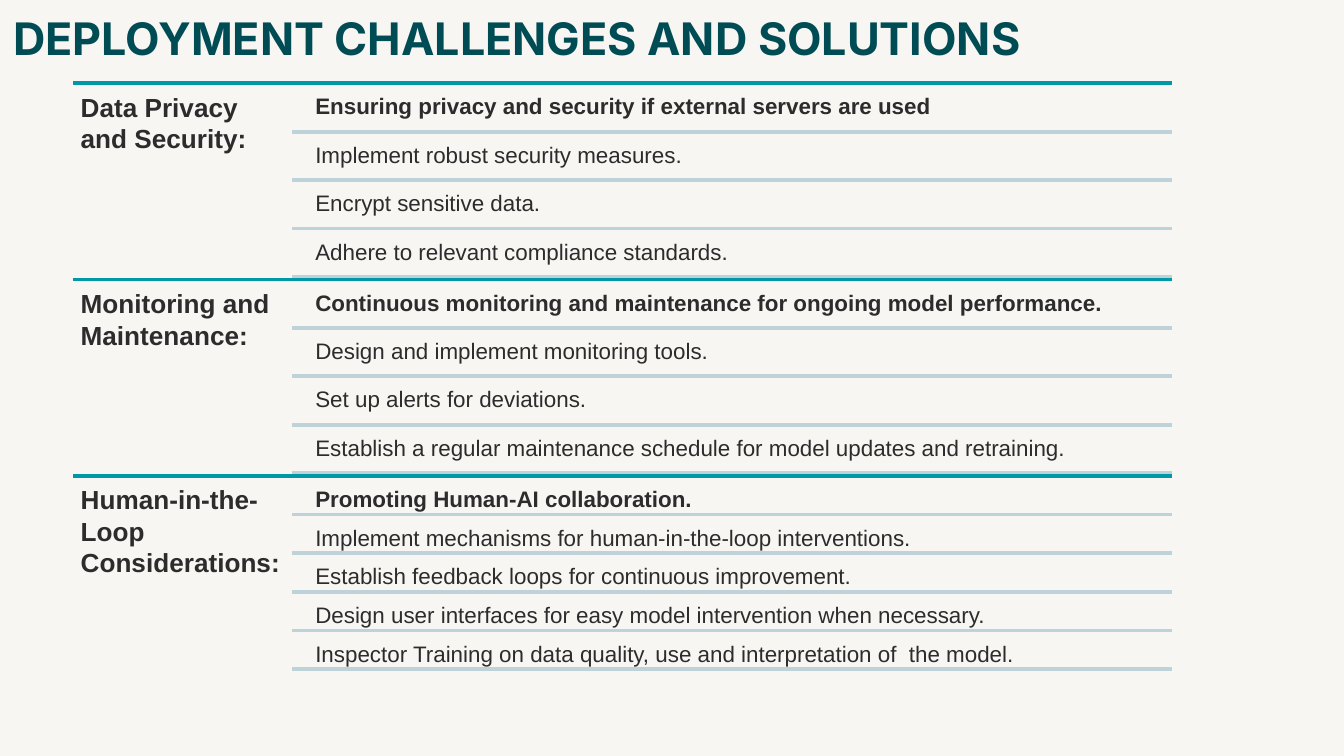
from lxml.etree import SubElement
from pptx import Presentation
from pptx.dml.color import RGBColor
from pptx.enum.shapes import MSO_CONNECTOR
from pptx.enum.text import MSO_ANCHOR
from pptx.oxml.ns import qn
from pptx.util import Inches, Pt

BACKGROUND = RGBColor(0xF8, 0xF6, 0xF3)
TITLE_COLOR = RGBColor(0x00, 0x4C, 0x54)
TEXT_COLOR = RGBColor(0x2C, 0x2C, 0x2C)
SECTION_LINE = RGBColor(0x00, 0x97, 0xA7)
ROW_LINE = RGBColor(0xBD, 0xD3, 0xD9)

LEFT, RIGHT = 0.54, 8.72
HEADING_WIDTH = (RIGHT - LEFT) / 5
ROW_LEFT = LEFT + HEADING_WIDTH
TEXT_LEFT = ROW_LEFT + 0.12
TOP, SECTION_HEIGHT, GAP = 0.62, 1.46, 0.02

sections = [
    ("Data Privacy and Security:", [
        "Ensuring privacy and security if external servers are used",
        "Implement robust security measures.",
        "Encrypt sensitive data.",
        "Adhere to relevant compliance standards.",
    ]),
    ("Monitoring and Maintenance:", [
        "Continuous monitoring and maintenance for ongoing model performance.",
        "Design and implement monitoring tools.",
        "Set up alerts for deviations.",
        "Establish a regular maintenance schedule for model updates and retraining.",
    ]),
    ("Human-in-the-Loop Considerations:", [
        "Promoting Human-AI collaboration.",
        "Implement mechanisms for human-in-the-loop interventions.",
        "Establish feedback loops for continuous improvement.",
        "Design user interfaces for easy model intervention when necessary.",
        "Inspector Training on data quality, use and interpretation of  the model.",
    ]),
]

presentation = Presentation()
presentation.slide_width = Inches(10)
presentation.slide_height = presentation.slide_width * 9 // 16
slide = presentation.slides.add_slide(presentation.slide_layouts[6])
slide.background.fill.solid()
slide.background.fill.fore_color.rgb = BACKGROUND


def add_text(shapes, text, left, top, width, height, inset, size, bold,
             color=TEXT_COLOR, font="Arial"):
    box = shapes.add_textbox(Inches(left), Inches(top), Inches(width), Inches(height))
    frame = box.text_frame
    frame.word_wrap = True
    frame.vertical_anchor = MSO_ANCHOR.TOP
    frame.margin_left = frame.margin_right = Inches(inset)
    frame.margin_top = frame.margin_bottom = Inches(inset)
    paragraph = frame.paragraphs[0]
    paragraph.text = text
    paragraph.font.name = font
    paragraph.font.size = Pt(size)
    paragraph.font.bold = bold
    paragraph.font.color.rgb = color


def add_rule(shapes, left, y, color):
    rule = shapes.add_connector(
        MSO_CONNECTOR.STRAIGHT, Inches(left), Inches(y), Inches(RIGHT), Inches(y))
    rule.line.color.rgb = color
    rule.line.width = Pt(2)
    SubElement(rule.element.spPr, qn("a:effectLst"))


add_text(slide.shapes, "DEPLOYMENT CHALLENGES AND SOLUTIONS", 0, -0.02, 9.32, 0.63,
         0.1, 24, True, TITLE_COLOR, "Inter")

outline = slide.shapes.add_group_shape().shapes
for index, (heading, rows) in enumerate(sections):
    section_top = TOP + index * SECTION_HEIGHT
    pitch = (SECTION_HEIGHT - GAP) / len(rows)
    add_rule(outline, LEFT, section_top, SECTION_LINE)
    add_text(outline, heading, LEFT, section_top, HEADING_WIDTH, SECTION_HEIGHT,
             0.06, 14, True)
    for row, text in enumerate(rows):
        row_top = section_top + row * pitch
        add_text(outline, text, TEXT_LEFT, row_top + GAP, RIGHT - TEXT_LEFT, pitch - GAP,
                 0.05, 12, row == 0)
        add_rule(outline, ROW_LEFT, row_top + pitch, ROW_LINE)

presentation.save("out.pptx")
